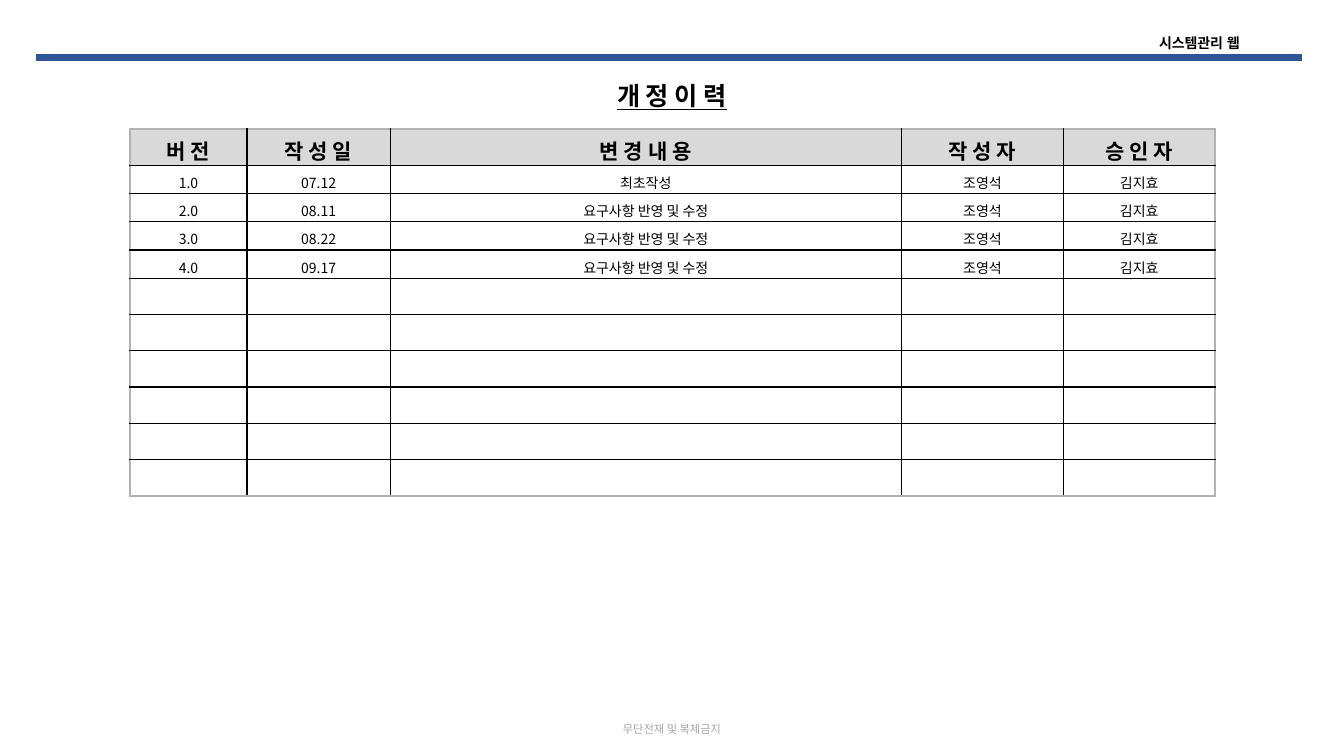
from dataclasses import dataclass

from lxml import etree
from pptx import Presentation
from pptx.dml.color import RGBColor
from pptx.enum.shapes import MSO_CONNECTOR
from pptx.enum.text import MSO_ANCHOR, PP_ALIGN
from pptx.oxml.ns import qn
from pptx.util import Inches, Pt

CENTER = PP_ALIGN.CENTER
MIDDLE = MSO_ANCHOR.MIDDLE
STRAIGHT = MSO_CONNECTOR.STRAIGHT


@dataclass(frozen=True)
class Theme:
    ink: str = "000000"
    rule: str = "2F5597"
    head: str = "D9D9D9"
    frame: str = "B2B2B2"
    muted: str = "A6A6A6"
    font: str = "Noto Sans CJK KR"
    label: str = "Arial"
    title: int = 18
    column: int = 15
    body: int = 10
    small: int = 8


THEME = Theme()
HEADS = ["버 전", "작 성 일", "변 경 내 용", "작 성 자", "승 인 자"]
EDIT = "요구사항 반영 및 수정"
TEAM = ["조영석", "김지효"]
LOG = [
    ["1.0", "07.12", "최초작성", *TEAM],
    ["2.0", "08.11", EDIT, *TEAM],
    ["3.0", "08.22", EDIT, *TEAM],
    ["4.0", "09.17", EDIT, *TEAM],
]
SPARE = 6
WIDTHS = [1.16, 1.42, 5.07, 1.61, 1.5]
TALL, LOW = 0.36, 0.28


def write(frame, text, size=THEME.body, color=THEME.ink, font=THEME.font,
          bold=False, line=False):
    para = frame.paragraphs[0]
    para.alignment = CENTER
    run = para.add_run()
    run.text = text
    face = run.font
    face.size, face.bold, face.underline = Pt(size), bold, line
    face.name = font
    face.color.rgb = RGBColor.from_string(color)
    etree.SubElement(face._element, qn("a:ea"), typeface=font)


def add_text(slide, text, left, top, width, height, **style):
    box = slide.shapes.add_textbox(
        Inches(left), Inches(top), Inches(width), Inches(height))
    frame = box.text_frame
    frame.word_wrap = True
    frame.vertical_anchor = MIDDLE
    frame.margin_top = frame.margin_bottom = 0
    write(frame, text, **style)


def add_rule(slide, left, right, top):
    rule = slide.shapes.add_connector(
        STRAIGHT, Inches(left), Inches(top), Inches(right), Inches(top))
    rule.line.color.rgb = RGBColor.from_string(THEME.rule)
    rule.line.width = Pt(4.5)
    etree.SubElement(rule._element.spPr, qn("a:effectLst"))


def set_edges(cell, outer):
    """Draw grey lines on the sides in outer and black lines on the rest."""
    props = cell._tc.get_or_add_tcPr()
    for place, side in enumerate("LRTB"):
        color, width = (THEME.frame, 1.5) if side in outer else (THEME.ink, 1)
        edge = etree.Element(qn(f"a:ln{side}"), w=str(Pt(width)))
        fill = etree.SubElement(edge, qn("a:solidFill"))
        etree.SubElement(fill, qn("a:srgbClr"), val=color)
        props.insert(place, edge)


def add_grid(slide, left, top):
    blank = [""] * len(HEADS)
    rows = [HEADS, *LOG, *[blank] * SPARE]
    heights = [TALL] + [LOW] * len(LOG) + [TALL] * SPARE
    grid = slide.shapes.add_table(
        len(rows), len(HEADS), Inches(left), Inches(top),
        Inches(sum(WIDTHS)), Inches(sum(heights))).table
    grid.first_row = grid.horz_banding = False
    for col, width in zip(grid.columns, WIDTHS):
        col.width = Inches(width)
    for r, (row, height) in enumerate(zip(rows, heights)):
        grid.rows[r].height = Inches(height)
        for c, text in enumerate(row):
            cell = grid.cell(r, c)
            cell.vertical_anchor = MIDDLE
            cell.margin_left = cell.margin_right = Inches(0.12)
            cell.margin_top, cell.margin_bottom = Inches(0.06), 0
            if r == 0:
                cell.fill.solid()
                cell.fill.fore_color.rgb = RGBColor.from_string(THEME.head)
            else:
                cell.fill.background()
            ends = {"L": c == 0, "R": c == len(row) - 1,
                    "T": r == 0, "B": r == len(rows) - 1}
            set_edges(cell, [side for side, end in ends.items() if end])
            if text:
                write(cell.text_frame, text, bold=r == 0,
                      size=THEME.body if r else THEME.column)


def main():
    deck = Presentation()
    deck.slide_width, deck.slide_height = Inches(13.33), Inches(7.5)
    slide = deck.slides.add_slide(deck.slide_layouts[6])
    add_rule(slide, 0.36, 12.91, 0.57)
    add_text(slide, "시스템관리 웹", 10.71, 0.29, 2.37, 0.27,
             font=THEME.label, bold=True)
    add_text(slide, "무단전재 및 복제금지", 5.04, 7.11, 3.25, 0.24,
             size=THEME.small, color=THEME.muted)
    add_text(slide, "개 정 이 력", 0, 0.75, 13.33, 0.4,
             size=THEME.title, bold=True, line=True)
    add_grid(slide, 1.29, 1.28)
    deck.save("out.pptx")


if __name__ == "__main__":
    main()
